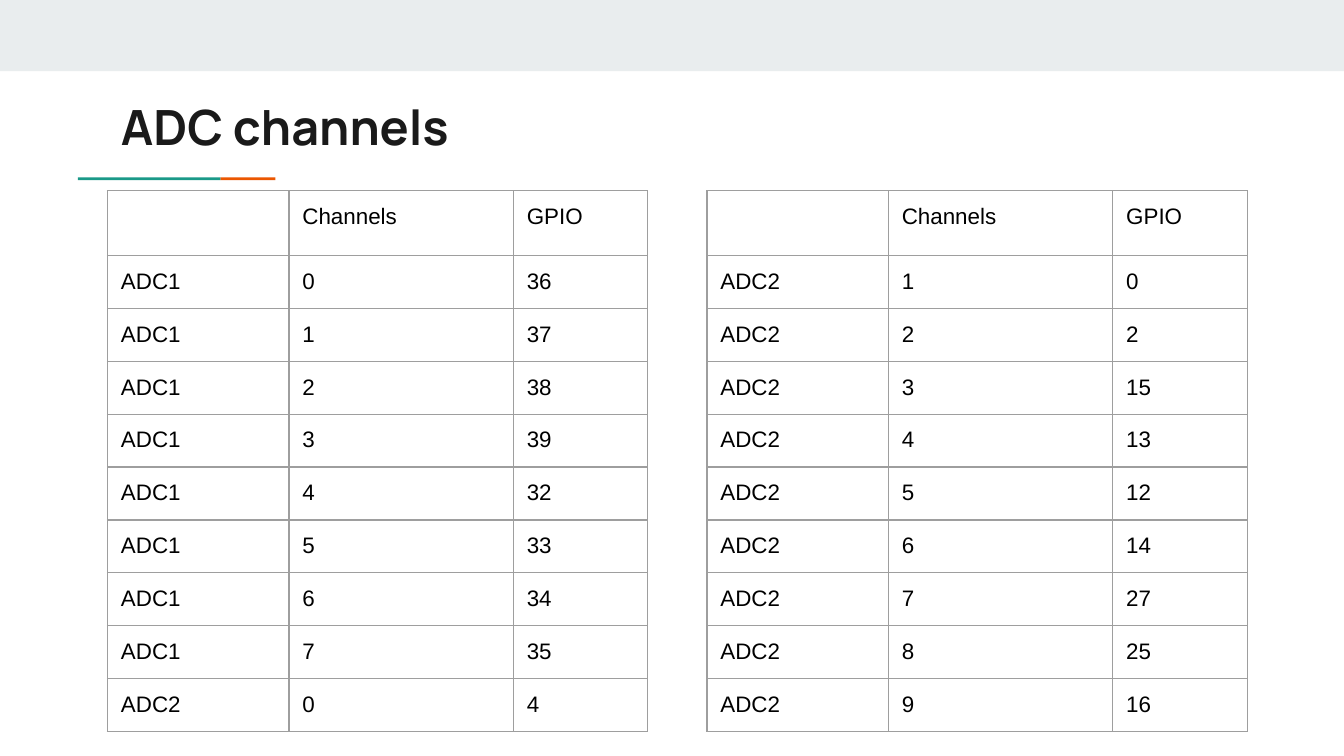
from lxml.etree import SubElement
from pptx import Presentation
from pptx.dml.color import RGBColor
from pptx.enum.shapes import MSO_SHAPE
from pptx.enum.text import MSO_ANCHOR, MSO_AUTO_SIZE, PP_ALIGN
from pptx.oxml.ns import qn
from pptx.util import Inches, Pt

# Slide size and table grid, in inches
WIDTH = 10
HEIGHT = WIDTH * 9 / 16
MARGIN = 0.08 * WIDTH
TABLE_TOP = 1.42
TABLE_SIZE = 3.28
COLUMN_WIDTHS = (1.35, 1.67, 1)
ROW_HEIGHT = 0.07 * HEIGHT
INSET = Inches(0.1)

BAND = RGBColor(0xE9, 0xED, 0xEE)
TEAL = RGBColor(0x1A, 0x99, 0x88)
ORANGE = RGBColor(0xEB, 0x56, 0x00)
INK = RGBColor(0x1A, 0x1A, 0x1A)
BLACK = RGBColor(0, 0, 0)
BORDER = RGBColor(0x9E, 0x9E, 0x9E)

HEADER = ("", "Channels", "GPIO")
# GPIO pins, listed in channel order
ADC1_PINS = (36, 37, 38, 39, 32, 33, 34, 35)
ADC2_PINS = (4, 0, 2, 15, 13, 12, 14, 27, 25, 16)


def write_text(frame, text, font="Arial", size=12, color=BLACK, bold=False):
    paragraph = frame.paragraphs[0]
    paragraph.alignment = PP_ALIGN.LEFT
    run = paragraph.add_run()
    run.text = text
    run.font.name = font
    run.font.size = Pt(size)
    run.font.bold = bold
    run.font.color.rgb = color


def add_bar(slide, left, top, width, height, color):
    shape = slide.shapes.add_shape(
        MSO_SHAPE.RECTANGLE, *map(Inches, (left, top, width, height)))
    shape.shadow.inherit = False
    shape.fill.solid()
    shape.fill.fore_color.rgb = color
    shape.line.fill.background()


def add_title(slide, text):
    title = slide.shapes.title
    title.left, title.top = Inches(MARGIN), Inches(0.62)
    title.width, title.height = Inches(8.41), Inches(0.59)
    frame = title.text_frame
    frame.auto_size = MSO_AUTO_SIZE.NONE
    frame.vertical_anchor = MSO_ANCHOR.TOP
    frame.margin_left = frame.margin_right = INSET
    frame.margin_top = frame.margin_bottom = INSET
    write_text(frame, text, font="Manrope", size=26, color=INK, bold=True)


def set_borders(cell):
    properties = cell._tc.get_or_add_tcPr()
    for position, side in enumerate(("lnL", "lnR", "lnT", "lnB")):
        line = SubElement(properties, qn(f"a:{side}"), w=str(Pt(0.75)))
        fill = SubElement(line, qn("a:solidFill"))
        SubElement(fill, qn("a:srgbClr"), val=str(BORDER))
        properties.insert(position, line)


def set_empty_font(cell, font="Arial", size=18):
    """The empty corner cell sets the height of the header row."""
    paragraph = cell.text_frame.paragraphs[0]._p
    end = SubElement(paragraph, qn("a:endParaRPr"), sz=str(size * 100))
    SubElement(end, qn("a:latin"), typeface=font)


def add_channel_table(slide, left, header_height, rows):
    heights = [header_height] + [ROW_HEIGHT] * (len(rows) - 1)
    frame = slide.shapes.add_table(
        len(rows), len(COLUMN_WIDTHS), Inches(left), Inches(TABLE_TOP),
        Inches(TABLE_SIZE), Inches(TABLE_SIZE))
    table = frame.table
    table.first_row = table.horz_banding = False
    for column, width in zip(table.columns, COLUMN_WIDTHS):
        column.width = Inches(width)
    for row, height, values in zip(table.rows, heights, rows):
        row.height = Inches(height)
        for cell, value in zip(row.cells, values):
            cell.margin_left = cell.margin_right = INSET
            cell.margin_top = cell.margin_bottom = INSET
            cell.fill.background()
            set_borders(cell)
            if value:
                write_text(cell.text_frame, value)
            else:
                set_empty_font(cell)
    frame.width = frame.height = Inches(TABLE_SIZE)


def channel_rows(name, pins):
    return [(name, str(channel), str(pin)) for channel, pin in enumerate(pins)]


def main():
    presentation = Presentation()
    presentation.slide_width = Inches(WIDTH)
    presentation.slide_height = Inches(HEIGHT)
    slide = presentation.slides.add_slide(presentation.slide_layouts[5])

    # Top band and two-colour accent line
    add_bar(slide, 0, 0, WIDTH, 0.53, BAND)
    add_bar(slide, 1.64, 1.32, 0.41, 0.02, ORANGE)
    add_bar(slide, 0.58, 1.32, 1.06, 0.02, TEAL)

    add_title(slide, "ADC channels")

    # Channels split evenly over the two tables
    rows = channel_rows("ADC1", ADC1_PINS) + channel_rows("ADC2", ADC2_PINS)
    half = len(rows) // 2
    add_channel_table(slide, MARGIN, 0.4, [HEADER] + rows[:half])
    add_channel_table(slide, 5.26, 0.35, [HEADER] + rows[half:])

    presentation.save("out.pptx")


if __name__ == "__main__":
    main()
